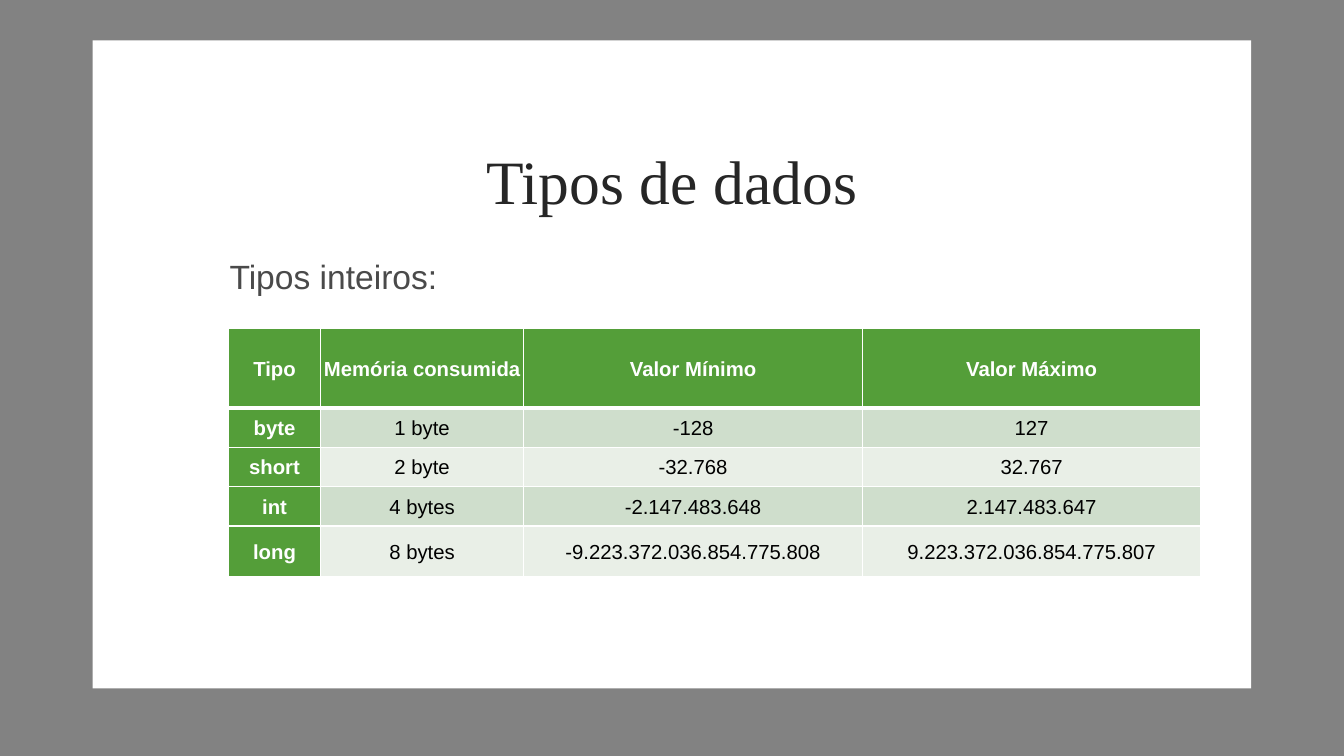
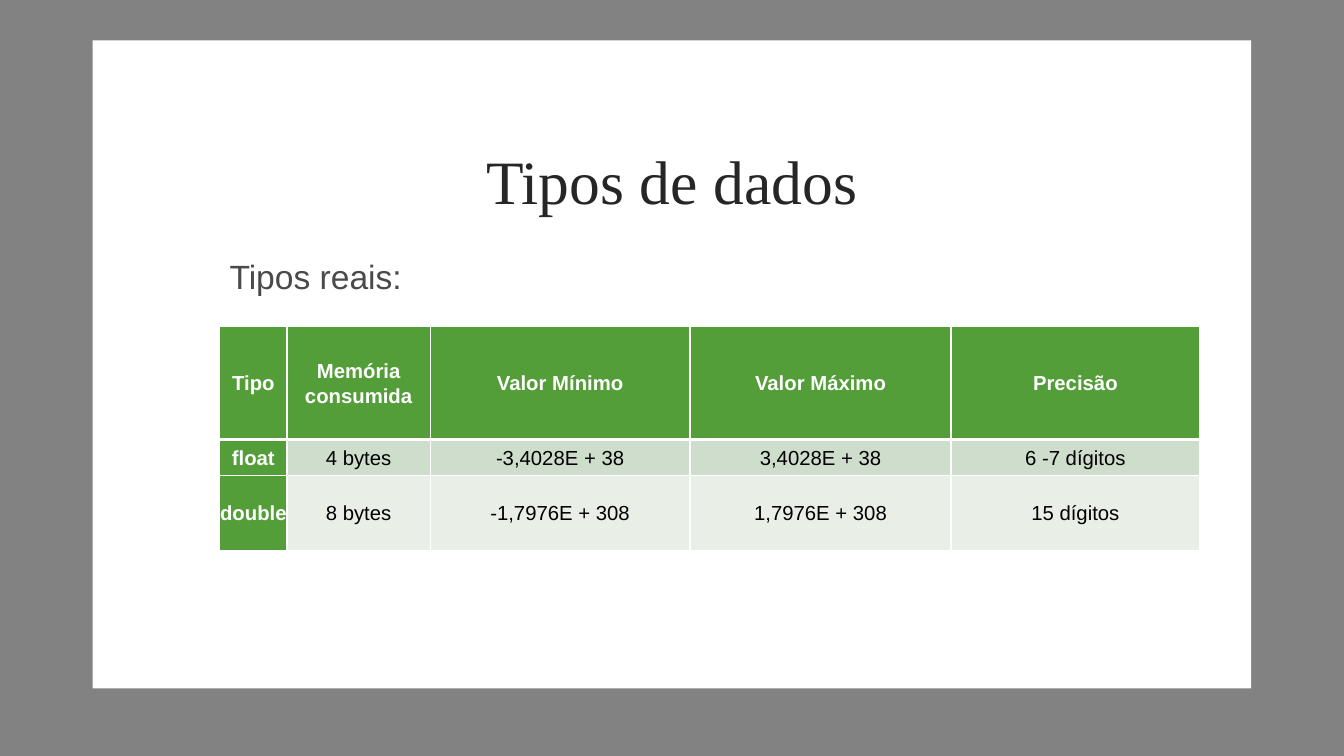
from lxml.etree import SubElement
from pptx import Presentation
from pptx.dml.color import RGBColor
from pptx.enum.shapes import MSO_SHAPE as Shape
from pptx.enum.text import MSO_ANCHOR as Anchor, PP_ALIGN as Align
from pptx.oxml import parse_xml
from pptx.oxml.ns import nsdecls, qn
from pptx.util import Inches, Pt

# Shared look
WIDTH, HEIGHT = 13.34, 7.5
WHITE, BLACK, GREEN = "FFFFFF", "000000", "549E39"
BANDS = ("CFDECC", "E9EFE7")
TITLE = {"name": "Times New Roman", "size": Pt(44), "color": "262626"}
SUBTITLE = {"name": "Arial", "size": Pt(24), "color": "4A4A4A"}
HEADING = {"name": "Arial", "size": Pt(14.5), "bold": True, "color": WHITE}
VALUE = {**HEADING, "bold": False, "color": BLACK}

# Content
INTEGERS = [
    ("Tipo", "Memória consumida", "Valor Mínimo", "Valor Máximo"),
    ("byte", "1 byte", "-128", "127"),
    ("short", "2 byte", "-32.768", "32.767"),
    ("int", "4 bytes", "-2.147.483.648", "2.147.483.647"),
    ("long", "8 bytes", "-9.223.372.036.854.775.808", "9.223.372.036.854.775.807"),
]
REALS = [
    ("Tipo", "Memória consumida", "Valor Mínimo", "Valor Máximo", "Precisão"),
    ("float", "4 bytes", "-3,4028E + 38", "3,4028E + 38", "6 -7 dígitos"),
    ("double", "8 bytes", "-1,7976E + 308", "1,7976E + 308", "15 dígitos"),
]


def paint(fill, color):
    fill.solid()
    fill.fore_color.rgb = RGBColor.from_string(color)


def write(paragraph, text, style, align):
    run = paragraph.add_run()
    run.text = text
    paragraph.alignment = align
    for attribute, value in style.items():
        if attribute == "color":
            run.font.color.rgb = RGBColor.from_string(value)
        else:
            setattr(run.font, attribute, value)


def add_panel(slide, box, color, opacity=100):
    panel = slide.shapes.add_shape(Shape.RECTANGLE, *map(Inches, box))
    panel.shadow.inherit = False
    panel.line.fill.background()
    paint(panel.fill, color)
    if opacity < 100:
        tint = panel.fill._xPr.find(qn("a:solidFill"))[0]
        SubElement(tint, qn("a:alpha"), val=str(opacity * 1000))


def add_text(slide, box, text, style, align=Align.LEFT, wrap=True):
    frame = slide.shapes.add_textbox(*map(Inches, box)).text_frame
    frame.word_wrap = wrap
    frame.vertical_anchor = Anchor.MIDDLE
    write(frame.paragraphs[0], text, style, align)


def add_borders(cell, row):
    # The rule between the header and the body is thicker
    widths = {"L": 1, "R": 1, "T": 3 if row == 1 else 1, "B": 3 if row == 0 else 1}
    properties = cell._tc.get_or_add_tcPr()
    for position, (side, width) in enumerate(widths.items()):
        properties.insert(position, parse_xml(
            f'<a:ln{side} {nsdecls("a")} w="{Pt(width)}"><a:solidFill>'
            f'<a:srgbClr val="{WHITE}"/></a:solidFill></a:ln{side}>'))


def fill_cell(cell, text, row, column):
    heading = row == 0 or column == 0
    cell.vertical_anchor = Anchor.MIDDLE
    for side in ("left", "right", "top", "bottom"):
        setattr(cell, f"margin_{side}", 0)
    paint(cell.fill, GREEN if heading else BANDS[(row - 1) % 2])
    add_borders(cell, row)
    paragraph = cell.text_frame.paragraphs[0]
    paragraph.line_spacing = 1.07
    write(paragraph, text, HEADING if heading else VALUE, Align.CENTER)


def add_type_table(slide, left, top, widths, heights, rows):
    box = map(Inches, (left, top, sum(widths), sum(heights)))
    table = slide.shapes.add_table(len(rows), len(widths), *box).table
    table.first_col = True
    for column, width in zip(table.columns, widths):
        column.width = Inches(width)
    for line, height in zip(table.rows, heights):
        line.height = Inches(height)
    for row, texts in enumerate(rows):
        for column, text in enumerate(texts):
            fill_cell(table.cell(row, column), text, row, column)


def add_types_slide(deck, subtitle, subtitle_width):
    slide = deck.slides.add_slide(deck.slide_layouts[6])
    # Grey surround and white page
    add_panel(slide, (0, 0, WIDTH, HEIGHT), BLACK, opacity=49)
    add_panel(slide, (0.92, 0.4, 11.5, 6.43), WHITE)
    # Headings
    add_text(slide, (1.42, 1.07, 10.5, 1.43), "Tipos de dados", TITLE, Align.CENTER)
    add_text(slide, (2.18, 2.49, subtitle_width, 0.5), subtitle, SUBTITLE, wrap=False)
    return slide


def main():
    deck = Presentation()
    deck.slide_width, deck.slide_height = Inches(WIDTH), Inches(HEIGHT)

    integers = add_types_slide(deck, "Tipos inteiros:", 2.3)
    add_type_table(integers, 2.27, 3.26, (0.91, 2.02, 3.36, 3.36),
                   (0.79, 0.39, 0.39, 0.39, 0.5), INTEGERS)

    reals = add_types_slide(deck, "Tipos reais:", 1.94)
    add_type_table(reals, 2.18, 3.24, (0.67, 1.42, 2.58, 2.59, 2.47),
                   (1.12, 0.36, 0.74), REALS)

    deck.save("out.pptx")


if __name__ == "__main__":
    main()
